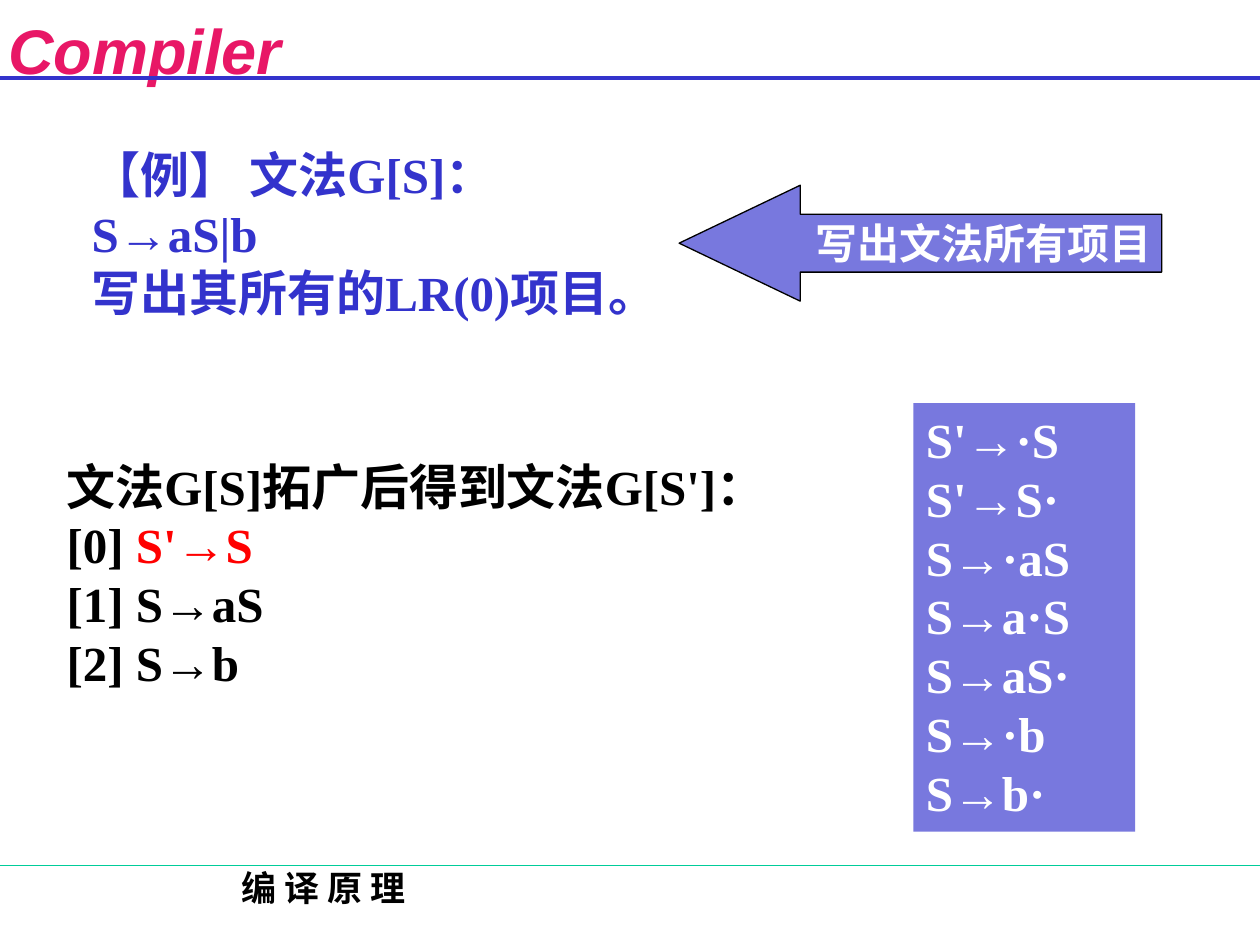
from dataclasses import dataclass

import lxml.etree
import pptx
import pptx.dml.color
import pptx.enum.shapes
import pptx.enum.text
import pptx.oxml.ns
import pptx.util
from pptx.util import Inches

ALIGN = pptx.enum.text.PP_ALIGN
ANCHOR = pptx.enum.text.MSO_ANCHOR
FIT = pptx.enum.text.MSO_AUTO_SIZE
SHAPE = pptx.enum.shapes.MSO_SHAPE
BLUE, PANEL, WHITE, BLACK = "3333CC", "7878DE", "FFFFFF", "000000"


@dataclass
class Style:
    size: int
    color: str
    align: int = ALIGN.LEFT
    font: str = "Times New Roman"
    italic: bool = False
    indent: float = 0


@dataclass
class Rule:
    y: float
    color: str
    weight: float


def rgb(value: str) -> pptx.dml.color.RGBColor:
    return pptx.dml.color.RGBColor.from_string(value)


def write(shape, paragraphs: list, style: Style, **frame_format) -> None:
    """Each paragraph is a list of (text, colour or None) runs."""
    frame = shape.text_frame
    settings = {"word_wrap": True, "auto_size": FIT.NONE,
                "vertical_anchor": ANCHOR.TOP} | frame_format
    for name, value in settings.items():
        setattr(frame, name, value)
    for number, runs in enumerate(paragraphs):
        paragraph = frame.add_paragraph() if number else frame.paragraphs[0]
        paragraph.alignment = style.align
        properties = paragraph._p.get_or_add_pPr()
        properties.set("hangingPunct", "0")  # keep punctuation inside the box
        if style.indent:
            properties.set("marL", "0")
            properties.set("indent", str(Inches(style.indent)))
        for text, color in runs:
            run = paragraph.add_run()
            run.text = text
            font_format = {"size": pptx.util.Pt(style.size), "name": style.font,
                           "bold": True, "italic": style.italic}
            for name, value in font_format.items():
                setattr(run.font, name, value)
            run.font.color.rgb = rgb(color or style.color)


def plain(*lines: str) -> list:
    return [[(line, None)] for line in lines]


def add_text(slide, box: tuple, paragraphs: list, style: Style, **frame_format) -> None:
    shape = slide.shapes.add_textbox(*map(Inches, box))
    write(shape, paragraphs, style, **frame_format)


def add_panel(slide, kind: int, box: tuple):
    panel = slide.shapes.add_shape(kind, *map(Inches, box))
    panel.shadow.inherit = False
    panel.fill.solid()
    panel.fill.fore_color.rgb = rgb(PANEL)
    panel.line.fill.background()
    return panel


def add_rule(slide, rule: Rule) -> None:
    line = slide.shapes.add_connector(
        pptx.enum.shapes.MSO_CONNECTOR.STRAIGHT,
        Inches(0), Inches(rule.y), Inches(10), Inches(rule.y))
    line.line.color.rgb = rgb(rule.color)
    line.line.width = pptx.util.Pt(rule.weight)
    lxml.etree.SubElement(line._element.spPr, pptx.oxml.ns.qn("a:effectLst"))


def main() -> None:
    deck = pptx.Presentation()
    deck.slide_width, deck.slide_height = Inches(10), Inches(7.5)
    slide = deck.slides.add_slide(deck.slide_layouts[5])

    # Heading, footer and their rules
    heading = slide.shapes.title
    position = {"left": 0, "top": 0.04, "width": 2.3, "height": 0.62}
    for name, value in position.items():
        setattr(heading, name, Inches(value))
    write(heading, plain("Compiler"),
          Style(36, "E81766", ALIGN.CENTER, "Arial", italic=True),
          margin_left=0, margin_right=0)
    for rule in (Rule(0.62, BLUE, 2.25), Rule(6.87, "00CC99", 0.75)):
        add_rule(slide, rule)
    add_text(slide, (0.5, 6.83, 4.14, 0.5), plain("编 译 原 理"),
             Style(20, BLACK, ALIGN.CENTER))

    # Augmented grammar
    add_text(slide, (0.43, 3.57, 5.75, 1.99),
             [*plain("文法G[S]拓广后得到文法G[S']："),
              [("[0] ", None), ("S'→S", "FF0000")],
              *plain("[1] S→aS", "[2] S→b")],
             Style(28, BLACK, ALIGN.JUSTIFY), auto_size=FIT.SHAPE_TO_FIT_TEXT)

    # Task arrow
    arrow = add_panel(slide, SHAPE.LEFT_ARROW, (5.39, 1.47, 3.83, 0.92))
    arrow.adjustments[0], arrow.adjustments[1] = 0.5, 1.045
    arrow.line.color.rgb = rgb(BLACK)
    arrow.line.width = pptx.util.Pt(0.75)
    write(arrow, plain("写出文法所有项目"), Style(24, WHITE, ALIGN.RIGHT),
          vertical_anchor=ANCHOR.MIDDLE, margin_right=Inches(0.08))

    # Example
    add_text(slide, (0.33, 1.1, 5.06, 1.5),
             plain("【例】 文法G[S]：", "S→aS|b", "写出其所有的LR(0)项目。"),
             Style(28, BLUE, ALIGN.JUSTIFY, indent=0.3),
             auto_size=FIT.SHAPE_TO_FIT_TEXT)

    # All items of the grammar
    items = add_panel(slide, SHAPE.RECTANGLE, (7.25, 3.2, 1.76, 3.4))
    write(items, plain("S'→·S", "S'→S·", "S→·aS", "S→a·S", "S→aS·", "S→·b", "S→b·"),
          Style(28, WHITE))

    deck.save("out.pptx")


if __name__ == "__main__":
    main()
